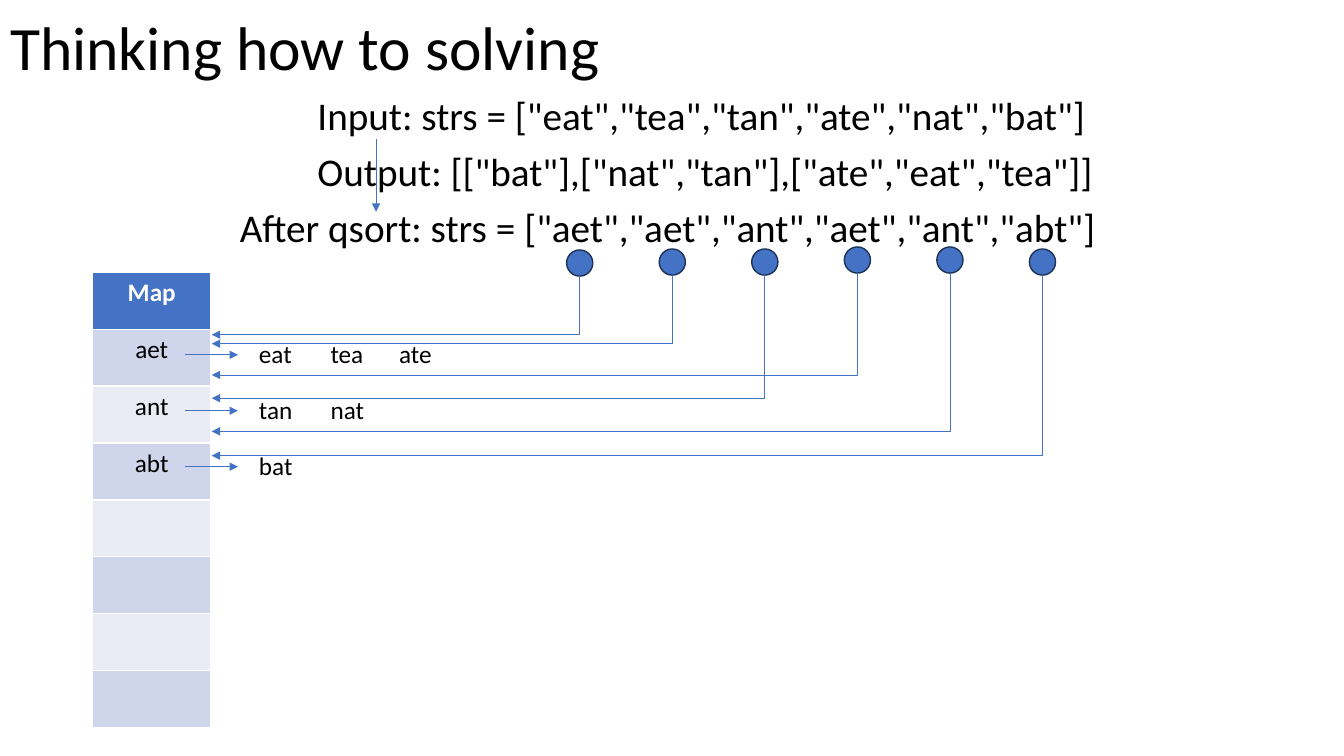
from pptx import Presentation
from pptx import util as u
from pptx.dml.color import RGBColor
from pptx.enum import shapes, text
from pptx.oxml import parse_xml
from pptx.oxml.ns import nsdecls, qn

BLACK = RGBColor(0, 0, 0)
WHITE = RGBColor(0xFF, 0xFF, 0xFF)
BLUE = RGBColor(0x44, 0x72, 0xC4)
NAVY = RGBColor(0x1E, 0x32, 0x56)
DARK = RGBColor(0xCF, 0xD5, 0xEA)
LIGHT = RGBColor(0xE9, 0xEB, 0xF5)

GROUPS = {"aet": ["eat", "tea", "ate"], "ant": ["tan", "nat"], "abt": ["bat"]}
ROWS = 8


def style(para, size, color=BLACK, bold=False):
    for run in para.runs:
        font = run.font
        font.name, font.size, font.bold = "Calibri", u.Pt(size), bold
        font.color.rgb = color


def label(slide, box, words, size):
    shape = slide.shapes.add_textbox(*map(u.Inches, box))
    frame = shape.text_frame
    frame.word_wrap = True
    frame.text = words
    for para in frame.paragraphs:
        style(para, size)
    return frame


def arrow(slide, kind, ends):
    line = slide.shapes.add_connector(kind, *map(u.Inches, ends))
    line.line.color.rgb = BLUE
    line.line.width = u.Pt(0.5)
    line.line._get_or_add_ln().append(
        parse_xml(f'<a:tailEnd {nsdecls("a")} type="triangle"/>'))
    line._element.spPr.append(parse_xml(f'<a:effectLst {nsdecls("a")}/>'))
    return line


def bend(slide, x, y, end, level):
    wide, high = x - end, level - y
    left = (x + end - high) / 2
    top = (y + level - wide) / 2
    line = arrow(slide, shapes.MSO_CONNECTOR.ELBOW,
                 (left, top, left + high, top + wide))
    props = line._element.spPr
    props.find(qn("a:xfrm")).set("rot", "5400000")
    props.find(qn("a:prstGeom")).set("prst", "bentConnector2")


def heading(slide, left, top, width, height):
    title = slide.shapes.title
    title.left, title.top = u.Inches(left), u.Inches(top)
    title.width, title.height = u.Inches(width), u.Inches(height)
    frame = title.text_frame
    frame.text = "Thinking how to solving"
    frame.vertical_anchor = text.MSO_ANCHOR.MIDDLE
    para = frame.paragraphs[0]
    para.alignment = text.PP_ALIGN.LEFT
    para.line_spacing = 0.9
    style(para, 44)


def example(slide, left, top, width, height):
    frame = label(slide, (left, top, width, height),
                  'Input: strs = ["eat","tea","tan","ate","nat","bat"]\n'
                  'Output: [["bat"],["nat","tan"],["ate","eat","tea"]]', 28)
    for para in frame.paragraphs:
        para.line_spacing = 0.9
        para.space_before = u.Pt(10)
    label(slide, (left - 0.77, top + 1.06, 9.65, 0.57),
          'After qsort: strs = ["aet","aet","ant","aet","ant","abt"]', 28)
    x = left + 0.68
    arrow(slide, shapes.MSO_CONNECTOR.STRAIGHT,
          (x, top + 0.47, x, top + 1.19))


def buckets(slide, left, top, width, height):
    frame = slide.shapes.add_table(
        ROWS, 1, *map(u.Inches, (left, top, width, height)))
    names = ["Map", *GROUPS] + [""] * (ROWS - 1 - len(GROUPS))
    for row, name in enumerate(names):
        cell = frame.table.cell(row, 0)
        head = row == 0
        cell.text = name
        cell.fill.solid()
        cell.fill.fore_color.rgb = BLUE if head else DARK if row % 2 else LIGHT
        para = cell.text_frame.paragraphs[0]
        para.alignment = text.PP_ALIGN.CENTER
        style(para, 18, WHITE if head else BLACK, head)


def members(slide, left, top, gap):
    for row, words in enumerate(GROUPS.values()):
        y = top + row * gap
        arrow(slide, shapes.MSO_CONNECTOR.STRAIGHT,
              (left, y + 0.21, left + 0.53, y + 0.21))
        for word, x in zip(words, (0.64, 1.35, 2.03)):
            label(slide, (left + x, y, 0.68, 0.4), word, 18)


def links(slide, left, top, gap, end):
    size = 0.26
    drops = ((0.03, 3.32), (0.02, 3.41), (0.02, 3.95),
             (0, 3.72), (0, 4.28), (0.02, 4.52))
    for col, (drop, level) in enumerate(drops):
        x, y = left + col * gap, top + drop
        dot = slide.shapes.add_shape(
            shapes.MSO_SHAPE.OVAL, *map(u.Inches, (x, y, size, size)))
        dot.shadow.inherit = False
        dot.fill.solid()
        dot.fill.fore_color.rgb = BLUE
        dot.line.color.rgb = NAVY
        dot.line.width = u.Pt(1)
        bend(slide, x + size / 2, y + size, end, level)


def main():
    deck = Presentation()
    deck.slide_width, deck.slide_height = u.Inches(13.33), u.Inches(7.5)
    slide = deck.slides.add_slide(deck.slide_layouts[5])
    heading(slide, 0, 0, 11.5, 1.01)
    example(slide, 3.05, 0.91, 8.11, 1.18)
    buckets(slide, 0.92, 2.7, 1.17, 4.52)
    members(slide, 1.83, 3.31, 0.555)
    links(slide, 5.62, 2.45, 0.918, 2.1)
    deck.save("out.pptx")


if __name__ == "__main__":
    main()
